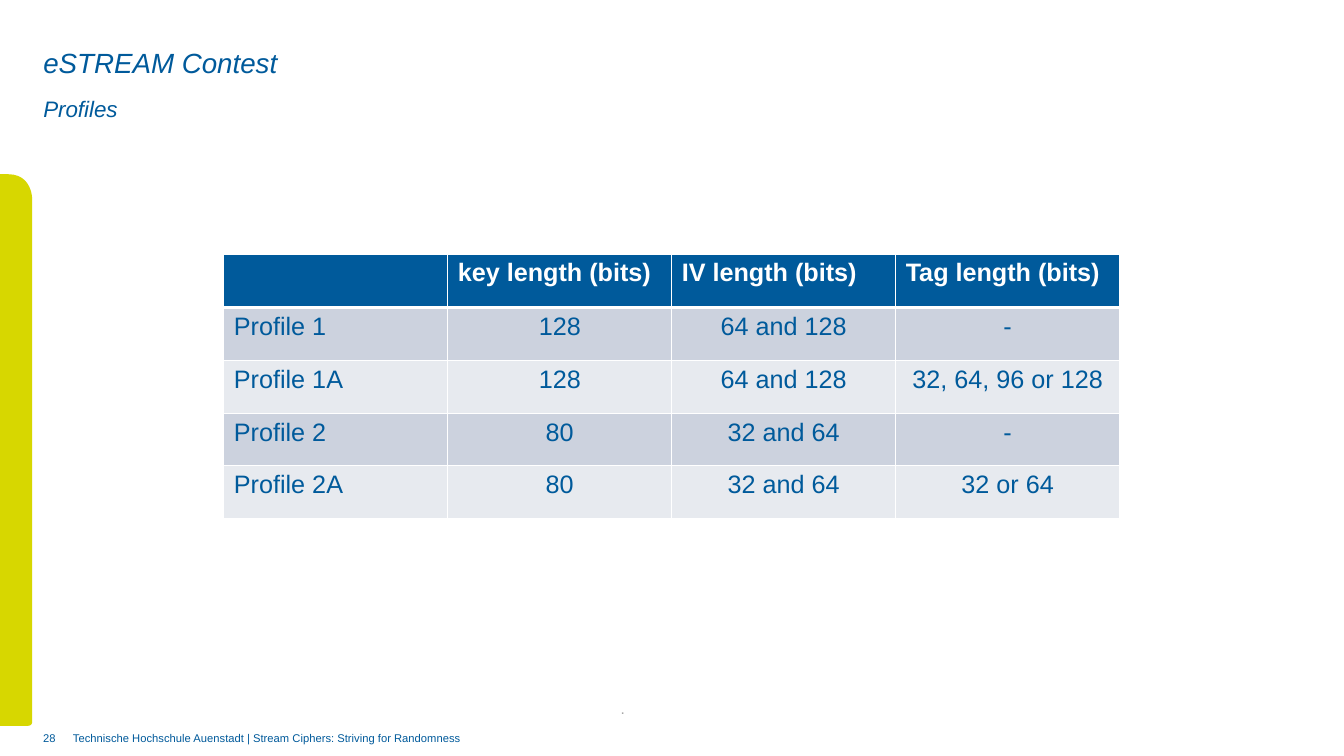
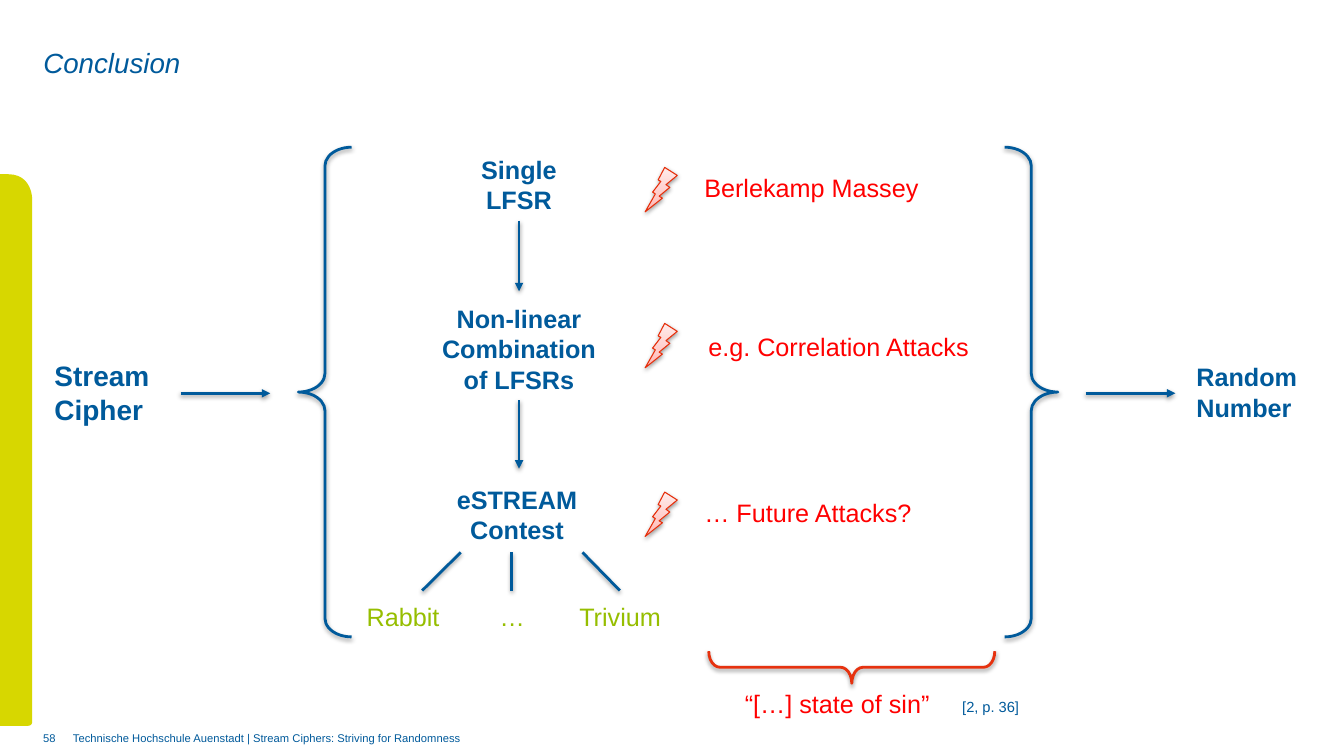
from lxml import etree
from pptx import Presentation
from pptx.dml.color import RGBColor
from pptx.enum.shapes import MSO_CONNECTOR, MSO_SHAPE as SHAPE
from pptx.enum.text import MSO_ANCHOR as ANCHOR, MSO_AUTO_SIZE, PP_ALIGN as ALIGN
from pptx.oxml import parse_xml
from pptx.oxml.ns import nsdecls, qn
from pptx.util import Cm, Pt

FONT = "Arial"
BLUE, LIME, GREEN, GRAY, WHITE = "005A9B", "D7D700", "96BE00", "A6A6A6", "FFFFFF"
RED, BRACE_RED, BOLT_RED = "FF0000", "E6320F", "E62D09"
ROW_FILLS = ("CCD2DE", "E7EAEF")
BOLT_STOPS = ((0, "FFB3B1"), (35, "FFCAC8"), (100, "FFEBEA"))
FOOTER = "Technische Hochschule Auenstadt | Stream Ciphers: Striving for Randomness"
MARGIN = 1.09
AXIS_Y = 9.91

PROFILES = (
    ("", "key length (bits)", "IV length (bits)", "Tag length (bits)"),
    ("Profile 1", "128", "64 and 128", "-"),
    ("Profile 1A", "128", "64 and 128", "32, 64, 96 or 128"),
    ("Profile 2", "80", "32 and 64", "-"),
    ("Profile 2A", "80", "32 and 64", "32 or 64"),
)


def rgb(color):
    return RGBColor.from_string(color)


def write(tf, text, size=18, color=BLUE, bold=False, italic=False,
          align=ALIGN.LEFT, spacing=None):
    """Fill a text frame, one paragraph per line of text."""
    for i, line in enumerate(text.split("\n")):
        p = tf.add_paragraph() if i else tf.paragraphs[0]
        p.alignment = align
        p.space_before = Pt(0)
        if spacing:
            p.line_spacing = spacing
        r = p.add_run()
        r.text = line
        r.font.name, r.font.size = FONT, Pt(size)
        r.font.bold, r.font.italic = bold, italic
        r.font.color.rgb = rgb(color)


def clear_margins(tf):
    tf.margin_left = tf.margin_top = tf.margin_right = tf.margin_bottom = 0


def add_text(s, text, x, y, w, h, margins=True, **fmt):
    box = s.shapes.add_textbox(Cm(x), Cm(y), Cm(w), Cm(h))
    tf = box.text_frame
    tf.word_wrap = True
    if not margins:
        clear_margins(tf)
    write(tf, text, **fmt)
    return box


def fill_placeholder(ph, text, y, h, anchor, **fmt):
    ph.left, ph.top, ph.width, ph.height = Cm(MARGIN), Cm(y), Cm(27.1), Cm(h)
    tf = ph.text_frame
    tf.auto_size, tf.vertical_anchor = MSO_AUTO_SIZE.NONE, anchor
    clear_margins(tf)
    write(tf, text, italic=True, **fmt)


def curve(start, corner, end, steps=12):
    """Points of a cubic curve whose second control point is its end."""
    points = []
    for i in range(1, steps + 1):
        t = i / steps
        a, b = (1 - t) ** 3, 3 * t * (1 - t) ** 2
        points.append(tuple(a * p + b * q + (1 - a - b) * e
                            for p, q, e in zip(start, corner, end)))
    return points


def add_band(s):
    top, bottom, right = 4.39, 18.29, 0.81
    outline = [(0.2, top), *curve((0.2, top), (right, top), (right, 5)),
               (right, 18.19),
               *curve((right, 18.19), (right, bottom), (0.71, bottom)),
               (0, bottom)]
    builder = s.shapes.build_freeform(Cm(0), Cm(top))
    builder.add_line_segments([(Cm(x), Cm(y)) for x, y in outline], close=True)
    band = builder.convert_to_shape()
    band.shadow.inherit = False
    band.fill.solid()
    band.fill.fore_color.rgb = rgb(LIME)
    band.line.fill.background()


def add_slide(prs, number, title, subtitle=None):
    s = prs.slides.add_slide(prs.slide_layouts[0 if subtitle else 5])
    add_band(s)
    add_text(s, FOOTER, 1.84, 18.42, 22.8, 0.6, margins=False, size=8)
    fill_placeholder(s.shapes.title, title, 1.12, 0.91, ANCHOR.MIDDLE, size=19.8)
    if subtitle:
        fill_placeholder(s.placeholders[1], subtitle, 2.06, 0.94, ANCHOR.TOP,
                         size=16, spacing=1.5)
    add_text(s, str(number), MARGIN, 18.42, 0.71, 0.58, margins=False, size=8)
    return s


def set_borders(cell, **widths):
    """White borders; widths in points by side (L, R, T, B)."""
    tc_pr = cell._tc.get_or_add_tcPr()
    for i, side in enumerate("LRTB"):
        tc_pr.insert(i, parse_xml(
            f'<a:ln{side} {nsdecls("a")} w="{Pt(widths.get(side, 1))}"><a:solidFill>'
            f'<a:srgbClr val="{WHITE}"/></a:solidFill></a:ln{side}>'))


def add_profile_table(s):
    table = s.shapes.add_table(len(PROFILES), len(PROFILES[0]), Cm(5.64), Cm(6.4),
                               Cm(22.58), Cm(6.67)).table
    table.first_row = table.horz_banding = False
    for i, row in enumerate(PROFILES):
        table.rows[i].height = Cm(1.33 if i else 1.35)
        for j, text in enumerate(row):
            cell = table.cell(i, j)
            cell.fill.solid()
            cell.fill.fore_color.rgb = rgb(ROW_FILLS[(i - 1) % 2] if i else BLUE)
            set_borders(cell, T=3 if i == 1 else 1, B=1 if i else 3)
            write(cell.text_frame, text, color=BLUE if i else WHITE, bold=i == 0,
                  align=ALIGN.CENTER if i and j else ALIGN.LEFT)


def add_soft_shadow(shape):
    shape._element.spPr.append(parse_xml(
        f'<a:effectLst {nsdecls("a")}><a:outerShdw blurRad="40000" dist="20000" '
        'dir="5400000" rotWithShape="0"><a:srgbClr val="000000">'
        '<a:alpha val="38000"/></a:srgbClr></a:outerShdw></a:effectLst>'))


def set_line(shape, color, width):
    shape.line.color.rgb = rgb(color)
    shape.line.width = Pt(width)
    add_soft_shadow(shape)


def add_line(s, x1, y1, x2, y2, arrow=False, start=None):
    """Straight line, joined to the bottom of the start box if one is given."""
    line = s.shapes.add_connector(MSO_CONNECTOR.STRAIGHT,
                                  Cm(x1), Cm(y1), Cm(x2), Cm(y2))
    if start is not None:
        line.begin_connect(start, 2)
    set_line(line, BLUE, 2)
    if arrow:
        etree.SubElement(line.line._get_or_add_ln(), qn("a:tailEnd"), type="triangle")


def add_brace(s, kind, x, y, w, h, color=BLUE, rotation=0):
    brace = s.shapes.add_shape(kind, Cm(x), Cm(y), Cm(w), Cm(h))
    brace.adjustments[0] = 0.35
    brace.rotation = rotation
    brace.fill.background()
    set_line(brace, color, 2)


def add_bolt(s, x, y):
    bolt = s.shapes.add_shape(SHAPE.LIGHTNING_BOLT, Cm(x), Cm(y), Cm(0.81), Cm(1.12))
    sp_pr = bolt._element.spPr
    sp_pr.get_or_add_xfrm().set("flipH", "1")
    bolt.fill.gradient()
    bolt.fill.gradient_angle = 90
    stops = sp_pr.find(".//" + qn("a:gsLst"))
    for old in list(stops):
        stops.remove(old)
    for pos, color in BOLT_STOPS:
        stop = etree.SubElement(stops, qn("a:gs"), pos=str(pos * 1000))
        etree.SubElement(stop, qn("a:srgbClr"), val=color)
    set_line(bolt, BOLT_RED, 0.75)


def add_stages(s):
    fmt = dict(bold=True, align=ALIGN.CENTER)
    single = add_text(s, "Single\nLFSR", 11.78, 3.76, 2.6, 1.8, **fmt)
    combined = add_text(s, "Non-linear\nCombination\nof LFSRs",
                        10.69, 7.52, 4.78, 2.57, **fmt)
    add_text(s, "eSTREAM\nContest", 10.64, 12.07, 4.78, 1.8, **fmt)
    add_line(s, 13.08, 5.56, 13.08, 7.34, arrow=True, start=single)
    add_line(s, 13.08, 10.09, 13.08, 11.81, arrow=True, start=combined)
    for name, x, w, x1, x2 in (("Rabbit", 8.99, 2.62, 11.61, 10.64),
                               ("…", 12.34, 1.3, 12.9, 12.9),
                               ("Trivium", 14.35, 2.84, 14.68, 15.62)):
        add_text(s, name, x, 15.04, w, 1.02, color=GREEN)
        add_line(s, x1, 13.92, x2, 14.88)


def add_attacks(s):
    for text, x, y, bolt_y in (("Berlekamp Massey", 17.5, 4.22, 4.22),
                               ("e.g. Correlation Attacks", 17.6, 8.23, 8.15),
                               ("… Future Attacks?", 17.5, 12.4, 12.4)):
        add_text(s, text, x, y, 7.85, 1.02, color=RED)
        add_bolt(s, 16.26, bolt_y)
    add_brace(s, SHAPE.RIGHT_BRACE, 21.06, 13.21, 0.81, 7.21, BRACE_RED, rotation=90)
    add_text(s, "“[…] state of sin”", 18.52, 17.22, 6.05, 1.02, color=RED)
    add_text(s, "[2, p. 36]", 24, 17.45, 4.93, 0.74, size=10.5)


def add_conclusion(s):
    add_text(s, "Stream\nCipher", 1.12, 8.92, 3.12, 1.96, size=20, bold=True)
    add_text(s, "Random\nNumber", 29.9, 8.99, 3.8, 1.8, bold=True)
    for x in (4.55, 27.36):
        add_line(s, x, AXIS_Y, x + 2.26, AXIS_Y, arrow=True)
    for kind, x in ((SHAPE.LEFT_BRACE, 7.52), (SHAPE.RIGHT_BRACE, 25.32)):
        add_brace(s, kind, x, 3.71, 1.34, 12.34)
    add_stages(s)
    add_attacks(s)


def main():
    prs = Presentation()
    prs.slide_width, prs.slide_height = Cm(33.87), Cm(19.05)
    s = add_slide(prs, 28, "eSTREAM Contest", "Profiles")
    add_profile_table(s)
    add_text(s, ".", 15.39, 17.5, 17.09, 0.74, size=11, color=GRAY)
    add_conclusion(add_slide(prs, 58, "Conclusion"))
    prs.save("out.pptx")


if __name__ == "__main__":
    main()
